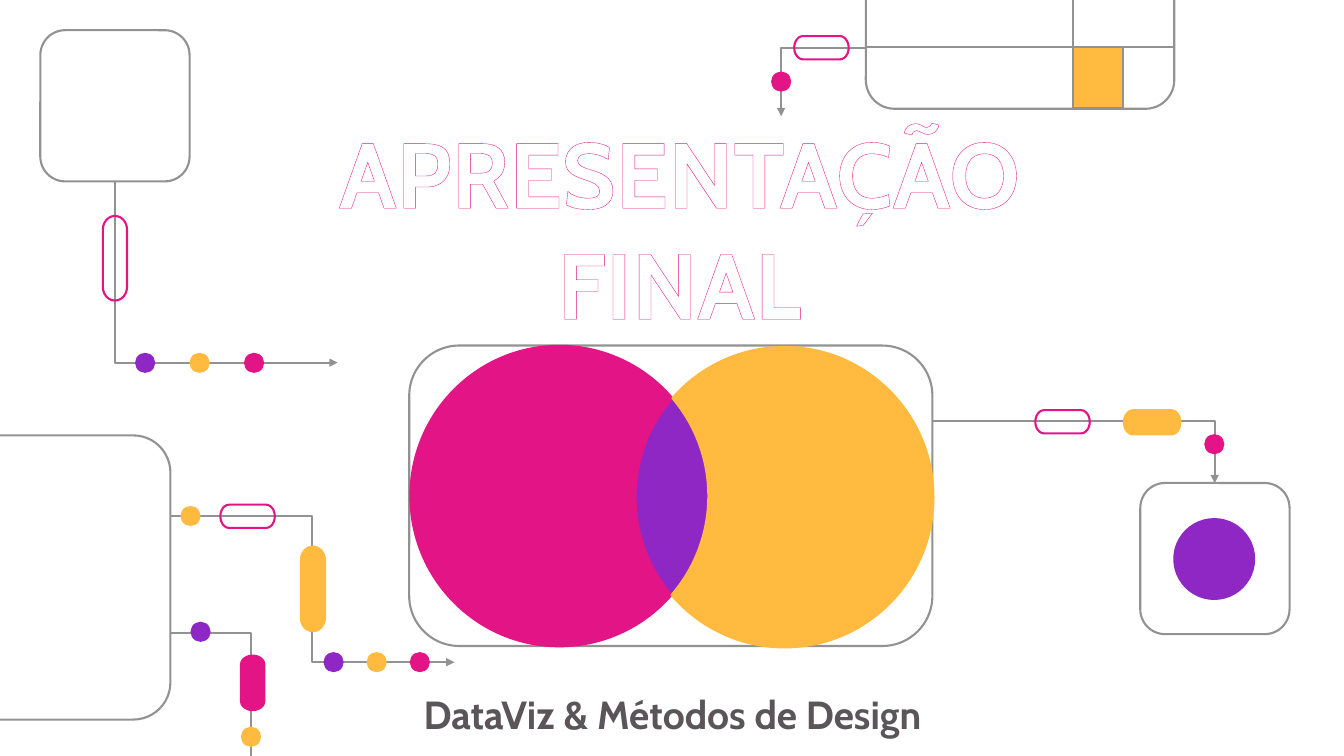
from math import acos, atan2, ceil, cos, floor, hypot, pi, sin, tan

from lxml import etree
from pptx import Presentation
from pptx.dml.color import RGBColor
from pptx.enum.shapes import MSO_CONNECTOR, MSO_SHAPE
from pptx.enum.text import MSO_ANCHOR, MSO_AUTO_SIZE, PP_ALIGN
from pptx.oxml.ns import qn
from pptx.util import Pt

ROUNDED, RECTANGLE = MSO_SHAPE.ROUNDED_RECTANGLE, MSO_SHAPE.RECTANGLE
PILL, DOT = MSO_SHAPE.FLOWCHART_TERMINATOR, MSO_SHAPE.FLOWCHART_CONNECTOR
STRAIGHT, ELBOW = MSO_CONNECTOR.STRAIGHT, MSO_CONNECTOR.ELBOW
TOP, CENTER, NO_FIT = MSO_ANCHOR.TOP, PP_ALIGN.CENTER, MSO_AUTO_SIZE.NONE

WHITE = RGBColor(0xFF, 0xFF, 0xFF)
GRAY = RGBColor(0x92, 0x92, 0x92)
DARK = RGBColor(0x5A, 0x55, 0x58)
PINK = RGBColor(0xE3, 0x15, 0x86)
PURPLE = RGBColor(0x8E, 0x27, 0xC4)
YELLOW = RGBColor(0xFF, 0xBA, 0x3F)

TITLE = ["APRESENTAÇÃO", "FINAL"]
TITLE_FRAME = (108.7, 79.2, 753.1, 167)
SUBTITLE = ["DataViz & Métodos de Design"]
SUBTITLE_FRAME = (280.1, 489.6, 400.3, 41)

# kind, left, top, width, height, fill, line
BOXES = [
    (ROUNDED, 28.8, 21.6, 106.6, 108, None, GRAY),
    (ROUNDED, -37.4, 311, 159.1, 203, None, GRAY),
    (RECTANGLE, 766.4, 33.4, 36, 43.9, YELLOW, GRAY),
    (ROUNDED, 618.5, -45.4, 220.3, 123.1, None, GRAY),
    (ROUNDED, 814.5, 345, 106.6, 108, None, GRAY),
    (DOT, 838.8, 370.8, 57, 57, PURPLE, PURPLE),
    (ROUNDED, 292.3, 246.8, 373.7, 214.6, None, GRAY),
]
# begin x, begin y, end x, end y
DIVIDERS = [(766.4, -45.4, 766.4, 77.8), (618.5, 33.4, 838.8, 33.4)]
# left, top, width, height, rotation, flip, preset, bend, arrow
ROUTES = [
    (96.8, 114.7, 129.6, 159.1, 270, "flipH", "bentConnector2", None, True),
    (121.7, 368.6, 203, 104.4, 0, None, "bentConnector3", 0.5, True),
    (106.6, 467, 88.6, 57.2, 270, "flipH", "bentConnector3", 0.013, False),
    (558, 34, 60.5, 49, 180, "flipV", "bentConnector3", 1.001, True),
    (666, 301, 201.7, 44.2, 0, None, "bentConnector2", None, True),
]
# centre x, centre y, length, thickness, rotation, fill, line
PILLS = [
    (82.1, 184.5, 60.5, 17.3, 90, None, PINK),
    (176.9, 368.8, 38.9, 16.6, 0, None, PINK),
    (223.5, 420.7, 60.5, 17.3, 90, YELLOW, YELLOW),
    (180.5, 487.8, 38.9, 16.6, 90, PINK, PINK),
    (586.8, 34.1, 38.9, 16.6, 0, None, PINK),
    (759, 301.3, 38.9, 16.6, 0, None, PINK),
    (823, 301.7, 40.3, 17.3, 0, YELLOW, YELLOW),
]
DOT_SIZE = 14.4
# first centre x, centre y, step, colours
DOT_ROWS = [
    (103.7, 259.2, 38.9, [PURPLE, YELLOW, PINK]),
    (238.3, 473, 30.8, [PURPLE, YELLOW, PINK]),
    (136.1, 368.6, 0, [YELLOW]),
    (143.3, 451.3, 0, [PURPLE]),
    (179.3, 526.3, 0, [YELLOW]),
    (558, 58.3, 0, [PINK]),
    (867.4, 317.3, 0, [PINK]),
]
LEFT_CENTER, RIGHT_CENTER = (399.6, 354.3), (560.4, 355.1)
RADIUS_X, RADIUS_Y = 106.4, 107.3
UNITS = 100  # drawing units per point in the curved outlines


def paint(shape, fill, line):
    shape.shadow.inherit = False
    if fill is None:
        shape.fill.background()
    else:
        shape.fill.solid()
        shape.fill.fore_color.rgb = fill
    if line is None:
        shape.line.fill.background()
    else:
        shape.line.color.rgb = line
        shape.line.width = Pt(1.5)


def add_figure(page, kind, frame, fill, line):
    shape = page.shapes.add_shape(kind, *map(Pt, frame))
    paint(shape, fill, line)
    return shape


def add_line(page, kind, ends):
    line = page.shapes.add_connector(kind, *map(Pt, ends))
    line.line.color.rgb = GRAY
    line.line.width = Pt(1.5)
    etree.SubElement(line._element.spPr, qn("a:effectLst"))
    return line


def add_route(page, left, top, width, height, rotation, flip, preset, bend, arrow):
    route = add_line(page, ELBOW, (left, top, left + width, top + height))
    properties = route._element.spPr
    frame = properties.find(qn("a:xfrm"))
    if rotation:
        frame.set("rot", str(rotation * 60000))
    if flip:
        frame.set(flip, "1")
    geometry = properties.find(qn("a:prstGeom"))
    geometry.set("prst", preset)
    if bend is not None:
        guide = etree.SubElement(geometry.find(qn("a:avLst")), qn("a:gd"))
        guide.set("name", "adj1")
        guide.set("fmla", f"val {round(bend * 100000)}")
    if arrow:
        tail = etree.SubElement(properties.find(qn("a:ln")), qn("a:tailEnd"))
        tail.set("type", "triangle")


def arc(center, start, end):
    """Return a start point, then three Bezier points per piece, cut at quarter turns."""
    quarters = range(floor(start / (pi / 2)) + 1, ceil(end / (pi / 2)))
    angles = [start, *(turn * pi / 2 for turn in quarters), end]

    def place(angle, pull=0):
        x = cos(angle) - pull * sin(angle)
        y = sin(angle) + pull * cos(angle)
        return center[0] + RADIUS_X * x, center[1] + RADIUS_Y * y

    points = [place(start)]
    for first, last in zip(angles, angles[1:]):
        pull = 4 / 3 * tan((last - first) / 4)
        points += [place(first, pull), place(last, -pull), place(last)]
    return points


def add_curve(page, points, color):
    """Draw a closed outline whose points after the first are Bezier triples."""
    points = [(x * UNITS, y * UNITS) for x, y in points]
    builder = page.shapes.build_freeform(*points[0], scale=Pt(1) / UNITS)
    builder.add_line_segments(points[1:], close=True)
    shape = builder.convert_to_shape()
    paint(shape, color, color)
    steps = list(shape._element.iter(qn("a:lnTo")))
    for index in range(0, len(steps), 3):
        curve = etree.Element(qn("a:cubicBezTo"))
        steps[index].addprevious(curve)
        for step in steps[index:index + 3]:
            curve.append(step[0])
            step.getparent().remove(step)


def add_venn(page):
    """Draw two overlapping discs as a lens and two crescents."""
    across = (RIGHT_CENTER[0] - LEFT_CENTER[0]) / RADIUS_X
    down = (RIGHT_CENTER[1] - LEFT_CENTER[1]) / RADIUS_Y
    tilt, half = atan2(down, across), acos(hypot(across, down) / 2)
    back = tilt + pi
    left_inner = arc(LEFT_CENTER, tilt - half, tilt + half)
    right_inner = arc(RIGHT_CENTER, back - half, back + half)
    left_outer = arc(LEFT_CENTER, tilt + half, tilt + 2 * pi - half)
    right_outer = arc(RIGHT_CENTER, back + half, back + 2 * pi - half)
    for first, second, color in [
        (left_inner, right_inner, PURPLE),
        (left_outer, right_inner[::-1], PINK),
        (right_outer, left_inner[::-1], YELLOW),
    ]:
        add_curve(page, first + second[1:], color)


def write(box, frame, lines, size, color, outline=None):
    box.left, box.top, box.width, box.height = map(Pt, frame)
    text = box.text_frame
    layout = {"word_wrap": True, "auto_size": NO_FIT, "vertical_anchor": TOP}
    for name, value in layout.items():
        setattr(text, name, value)
    for index, words in enumerate(lines):
        para = text.add_paragraph() if index else text.paragraphs[0]
        spacing = {"alignment": CENTER, "line_spacing": 1.0, "space_before": Pt(0)}
        for name, value in spacing.items():
            setattr(para, name, value)
        span = para.add_run()
        span.text = words
        for name, value in {"name": "Cabin", "size": Pt(size), "bold": True}.items():
            setattr(span.font, name, value)
        span.font.color.rgb = color
        if outline is not None:
            border = etree.Element(qn("a:ln"), w=str(Pt(2.25)))
            solid = etree.SubElement(border, qn("a:solidFill"))
            etree.SubElement(solid, qn("a:srgbClr"), val=str(outline))
            span.font._element.insert(0, border)


def main():
    deck = Presentation()
    deck.slide_width, deck.slide_height = Pt(960), Pt(540)
    page = deck.slides.add_slide(deck.slide_layouts[0])
    write(page.shapes.title, TITLE_FRAME, TITLE, 66, WHITE, PINK)
    write(page.placeholders[1], SUBTITLE_FRAME, SUBTITLE, 28, DARK)
    for kind, *frame, fill, line in BOXES:
        add_figure(page, kind, frame, fill, line)
    for ends in DIVIDERS:
        add_line(page, STRAIGHT, ends)
    for route in ROUTES:
        add_route(page, *route)
    for x, y, length, thickness, rotation, fill, line in PILLS:
        frame = (x - length / 2, y - thickness / 2, length, thickness)
        add_figure(page, PILL, frame, fill, line).rotation = rotation
    for first, y, step, colors in DOT_ROWS:
        for index, color in enumerate(colors):
            left = first + index * step - DOT_SIZE / 2
            frame = (left, y - DOT_SIZE / 2, DOT_SIZE, DOT_SIZE)
            add_figure(page, DOT, frame, color, None)
    add_venn(page)
    deck.save("out.pptx")


if __name__ == "__main__":
    main()
